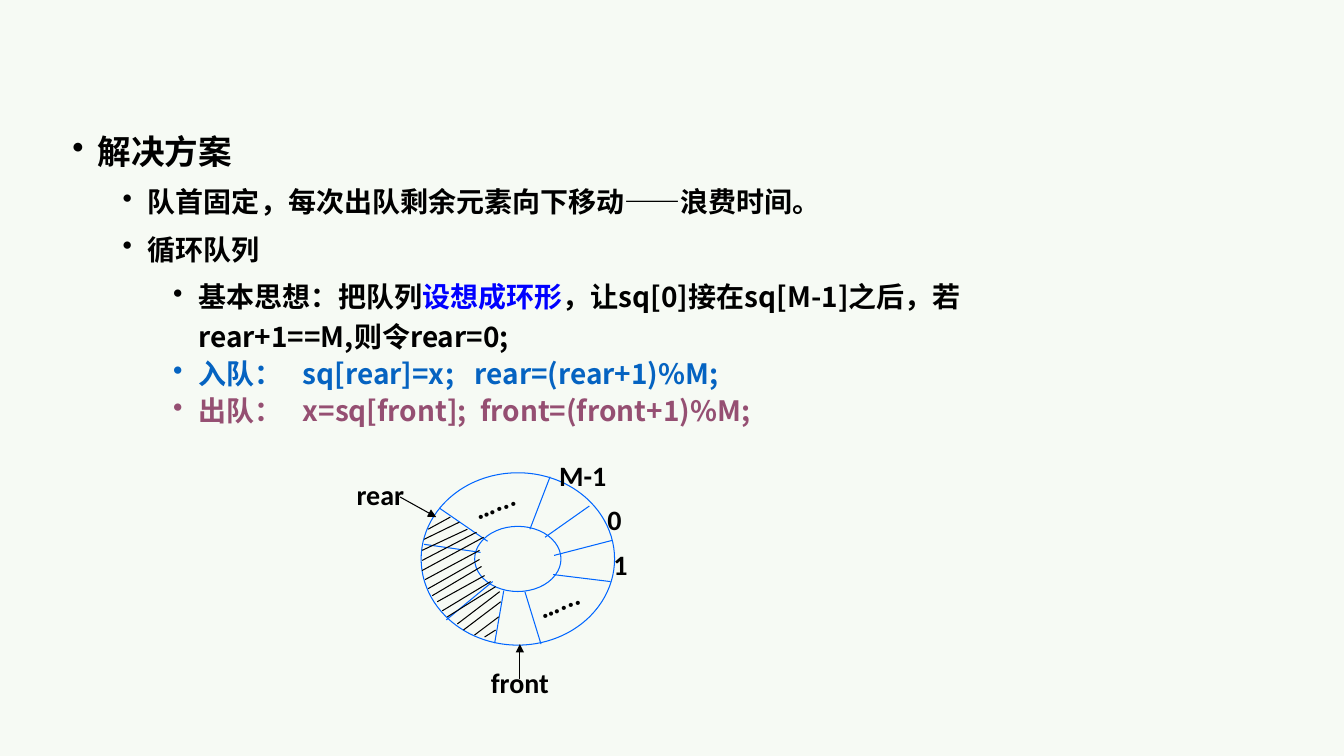
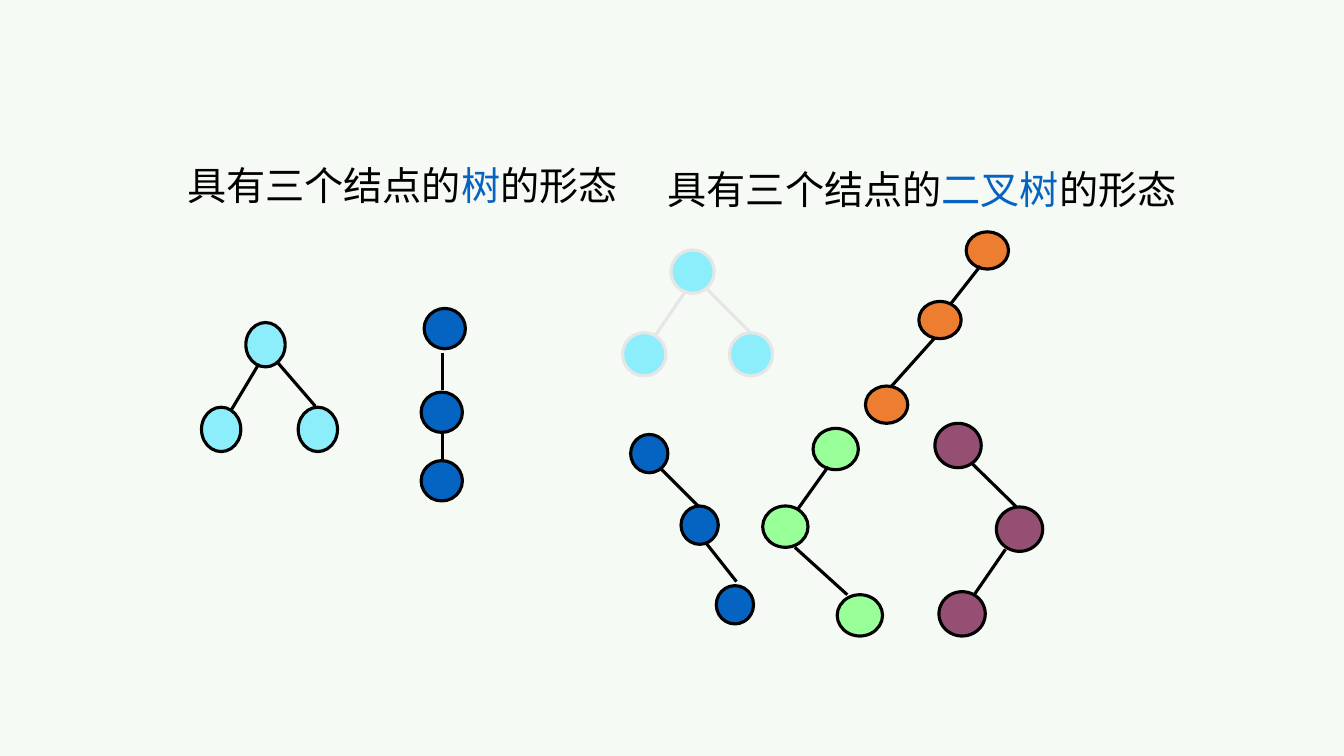
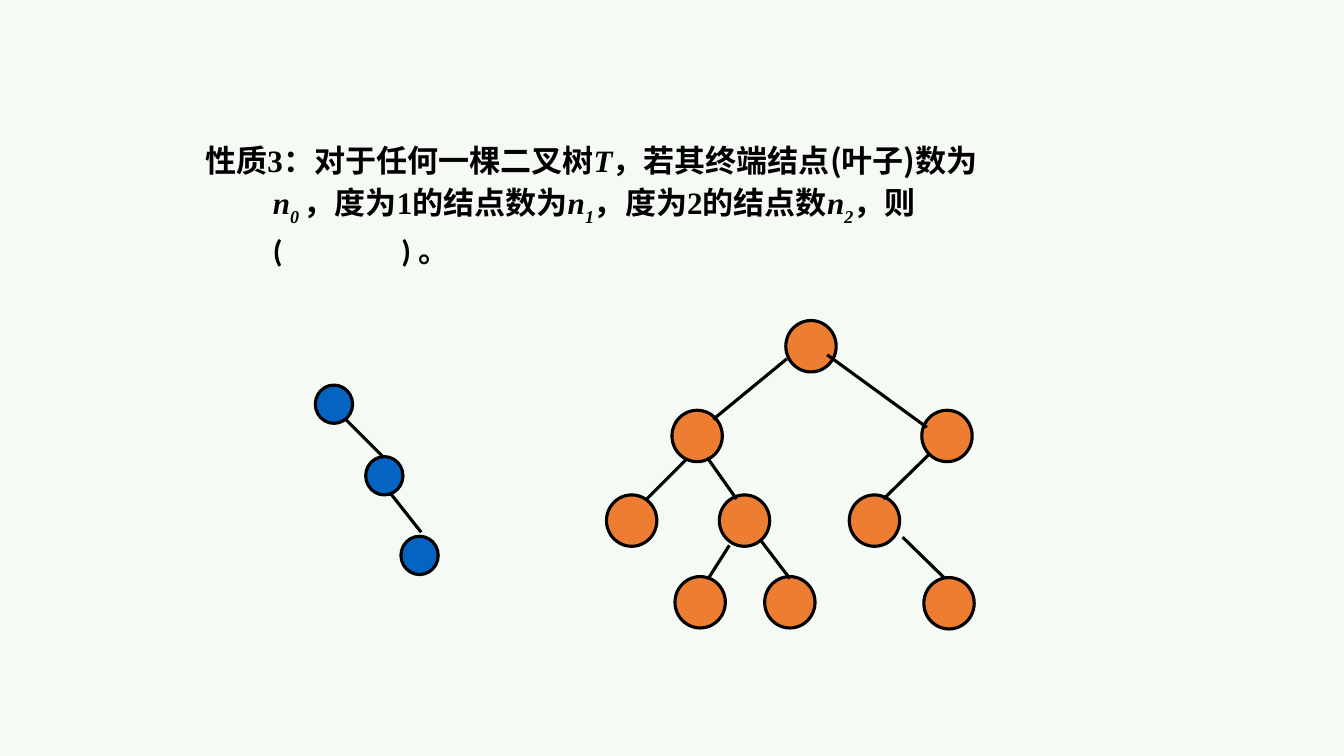
from lxml import etree
from pptx import Presentation
from pptx.dml.color import RGBColor
from pptx.enum.shapes import MSO_CONNECTOR, MSO_SHAPE
from pptx.enum.text import MSO_ANCHOR, PP_ALIGN
from pptx.oxml.ns import qn
from pptx.util import Inches, Pt

BACKGROUND = RGBColor(0xF6, 0xFA, 0xF4)
BLACK = RGBColor(0, 0, 0)
PURE_BLUE = RGBColor(0, 0, 0xFF)
RING_BLUE = RGBColor(0, 0x66, 0xFF)
BLUE = RGBColor(0x05, 0x63, 0xC1)
PLUM = RGBColor(0x95, 0x4F, 0x72)
CYAN = RGBColor(0x8D, 0xEE, 0xFB)
ORANGE = RGBColor(0xED, 0x7D, 0x31)
GREEN = RGBColor(0x99, 0xFF, 0x99)
PALE_GRAY = RGBColor(0xE7, 0xE6, 0xE6)
CHINESE, LATIN, SERIF = "Noto Sans CJK SC", "Calibri", "Times New Roman"


def add_spans(para, spans):
    """Add runs given as (text, look); look may hold color, font, italic, baseline, spacing."""
    for text, look in spans:
        span = para.add_run()
        span.text = text
        if "color" in look:
            span.font.color.rgb = look["color"]
        if "font" in look:
            span.font.name = look["font"]
        if "italic" in look:
            span.font.italic = look["italic"]
        properties = span._r.get_or_add_rPr()
        etree.SubElement(properties, qn("a:ea"), typeface=CHINESE)
        if "baseline" in look:
            properties.set("baseline", str(look["baseline"] * 1000))
        if "spacing" in look:
            properties.set("spc", str(look["spacing"] * 100))


def add_line(shapes, ends, color, width, arrow=False):
    line = shapes.add_connector(MSO_CONNECTOR.STRAIGHT, *[Inches(v) for v in ends])
    line.line.color.rgb = color
    line.line.width = Pt(width)
    if arrow:
        etree.SubElement(line.line._get_or_add_ln(), qn("a:tailEnd"), type="triangle")
    etree.SubElement(line._element.spPr, qn("a:effectLst"))


# Deck and shared background
deck = Presentation()
deck.slide_width, deck.slide_height = Inches(13.34), Inches(7.5)
backdrop = deck.slide_master.background.fill
backdrop.solid()
backdrop.fore_color.rgb = BACKGROUND
queue_page, shapes_page, property_page = [
    deck.slides.add_slide(deck.slide_layouts[6]) for _ in range(3)]

# Slide 1: bullet list (level, size, line spacing, colour, spans)
bullets = [
    (0, 24, 1.2, BLACK, [("解决方案", {})]),
    (1, 20, 1.2, BLACK, [("队首固定，每次出队剩余元素向下移动——浪费时间。", {})]),
    (1, 20, 1.2, BLACK, [("循环队列", {})]),
    (2, 20, 1.2, BLACK, [
        ("基本思想：把队列", {}), ("设想成环形", {"color": PURE_BLUE}),
        ("，让sq[0]接在sq[M-1]之后，若rear+1==M,则令rear=0;", {})]),
    (2, 20, 0.9, BLUE, [
        ("入队：", {}), (" ", {"spacing": 10}), ("sq[rear]=x;", {}),
        (" ", {"spacing": 10}), ("rear=(rear+1)%M;", {})]),
    (2, 20, 0.9, PLUM, [
        ("出队：", {}), (" ", {"spacing": 10}), ("x=sq[front];", {}),
        (" ", {"spacing": 5}), ("front=(front+1)%M;", {})]),
]
box = queue_page.shapes.add_textbox(Inches(0.62), Inches(1.17), Inches(10.5), Inches(3.33))
box.text_frame.word_wrap = True
for index, (level, size, spacing, color, spans) in enumerate(bullets):
    para = box.text_frame.add_paragraph() if index else box.text_frame.paragraphs[0]
    para.level = level
    para.line_spacing = spacing
    para.space_before = Pt(5 if index else 0)
    settings = para._p.get_or_add_pPr()
    settings.set("marL", str(Inches(0.25 + 0.5 * level)))
    settings.set("indent", str(Inches(-0.25)))
    bullet_color = etree.SubElement(settings, qn("a:buClr"))
    etree.SubElement(bullet_color, qn("a:srgbClr"), val=str(color))
    etree.SubElement(settings, qn("a:buChar"), char="•")
    para.font.size = Pt(size)
    para.font.bold = True
    para.font.name = CHINESE
    para.font.color.rgb = color
    add_spans(para, spans)

# Slide 1: circular queue
ring_group = queue_page.shapes.add_group_shape().shapes
ring = ring_group.add_shape(
    MSO_SHAPE.DONUT, Inches(4.18), Inches(4.69), Inches(1.92), Inches(1.71))
ring.adjustments[0] = 0.311
ring.shadow.inherit = False
ring.fill.background()
ring.line.color.rgb = RING_BLUE
ring.line.width = Pt(0.75)

spokes = [
    (5.21, 5.87, 5.37, 6.39), (5, 5.86, 4.91, 6.38), (4.89, 5.77, 4.43, 6.15),
    (4.84, 5.37, 4.36, 5.04), (5.46, 4.73, 5.26, 5.25), (5.41, 5.33, 5.85, 5.02),
    (5.5, 5.51, 6.08, 5.36), (5.49, 5.7, 6.06, 5.77), (4.77, 5.48, 4.21, 5.4),
]
hatching = [
    (4.25, 5.25, 4.47, 5.13), (4.21, 5.35, 4.56, 5.18), (4.19, 5.46, 4.64, 5.25),
    (4.19, 5.56, 4.73, 5.28), (4.19, 5.66, 4.8, 5.33), (4.22, 5.75, 4.76, 5.46),
    (4.25, 5.84, 4.76, 5.55), (4.29, 5.91, 4.78, 5.62), (4.34, 5.97, 4.81, 5.71),
    (4.39, 6.06, 4.87, 5.77), (4.44, 6.12, 4.92, 5.82), (4.54, 6.19, 4.96, 5.87),
    (4.6, 6.25, 4.97, 5.97), (4.71, 6.3, 4.95, 6.12), (4.81, 6.32, 4.92, 6.25),
]
pointers = [(5.16, 6.74, 5.16, 6.39), (3.97, 4.93, 4.33, 5.13)]
for lines, color, arrow in [
        (spokes, RING_BLUE, False), (hatching, BLACK, False), (pointers, BLACK, True)]:
    for ends in lines:
        add_line(ring_group, ends, color, 0.75, arrow)

for text, left, top, width, rotation in [
        ("0", 5.93, 4.93, 0.34, 0), ("M-1", 5.45, 4.5, 0.67, 0),
        ("1", 5.99, 5.38, 0.34, 0), ("front", 4.77, 6.55, 0.78, 0),
        ("rear", 3.44, 4.68, 0.67, 0),
        ("…...", 4.59, 4.76, 0.62, 338.4), ("…...", 5.23, 5.74, 0.62, 338.4)]:
    label = ring_group.add_textbox(Inches(left), Inches(top), Inches(width), Inches(0.44))
    label.rotation = rotation
    label.text_frame.word_wrap = False
    label.text_frame.vertical_anchor = MSO_ANCHOR.MIDDLE
    para = label.text_frame.paragraphs[0]
    para.alignment = PP_ALIGN.CENTER
    para.font.size = Pt(20)
    para.font.bold = True
    para.font.name = LATIN
    para.font.color.rgb = BLACK
    add_spans(para, [(text, {})])

# Slide 2: headings
for left, top, width, font, spacing, keyword in [
        (1.76, 1.55, 5.42, LATIN, 0.9, "树"), (6.53, 1.59, 5.73, "Cabin", 1.0, "二叉树")]:
    heading = shapes_page.shapes.add_textbox(
        Inches(left), Inches(top), Inches(width), Inches(0.57))
    heading.text_frame.word_wrap = True
    heading.text_frame.vertical_anchor = MSO_ANCHOR.BOTTOM
    para = heading.text_frame.paragraphs[0]
    para.line_spacing = spacing
    para.font.size = Pt(28)
    para.font.name = font
    para.font.color.rgb = BLACK
    add_spans(para, [("具有三个结点的", {}), (keyword, {"color": BLUE}), ("的形态", {})])

# Slide 3: statement with hanging lines
statement = property_page.shapes.add_textbox(
    Inches(1.94), Inches(1.32), Inches(8.83), Inches(1.75))
statement.text_frame.word_wrap = True
para = statement.text_frame.paragraphs[0]
para.line_spacing = 1.1
settings = para._p.get_or_add_pPr()
settings.set("marL", str(Inches(0.67)))
settings.set("indent", str(Inches(-0.67)))
para.font.size = Pt(22.2)
para.font.bold = True
para.font.color.rgb = BLACK
plain, chinese, number = {"font": LATIN}, {"font": CHINESE}, {"font": SERIF}
variable = {"font": SERIF, "italic": True}
subscript = {"font": SERIF, "italic": True, "baseline": -30}
statement_lines = [
    [("性质", plain), ("3", number), ("：", plain), ("对于任何一棵二叉树", chinese),
     ("T", variable), ("，若其终端结点(叶子)数为", chinese)],
    [("n", variable), ("0 ", subscript), ("，度为", chinese), ("1", number),
     ("的结点数为", chinese), ("n", variable), ("1", subscript), ("，度为", chinese),
     ("2", number), ("的结点数", chinese), ("n", variable), ("2", subscript),
     ("，则", chinese)],
    [("(", plain), (" ", {"font": LATIN, "spacing": 80}), (") ", plain), ("。", chinese)],
]
for index, spans in enumerate(statement_lines):
    if index:
        para.add_line_break()
    add_spans(para, spans)

# Slides 2 and 3: trees (page, node size, fill, outline, node corners, edges)
chain_nodes = [(6.26, 4.31), (6.76, 5.02), (7.11, 5.81)]
chain_edges = [(6.56, 4.65, 6.93, 5.02), (7.01, 5.39, 7.31, 5.77)]
shift_x, shift_y = -3.13, -0.49
trees = [
    (shapes_page, (0.39, 0.44), CYAN, BLACK,
     [(2.44, 3.2), (2, 4.04), (2.96, 4.04)],
     [(2.57, 3.61, 2.3, 4.06), (2.75, 3.59, 3.13, 4.03)]),
    (shapes_page, (0.41, 0.4), BLUE, BLACK,
     [(4.21, 3.06), (4.18, 3.89), (4.18, 4.57)],
     [(4.39, 3.5, 4.39, 3.87), (4.39, 4.31, 4.39, 4.56)]),
    (shapes_page, (0.43, 0.43), CYAN, PALE_GRAY,
     [(6.66, 2.48), (6.18, 3.3), (7.24, 3.3)],
     [(6.81, 2.88, 6.51, 3.32), (7.01, 2.86, 7.44, 3.29)]),
    (shapes_page, (0.42, 0.37), ORANGE, BLACK,
     [(9.59, 2.3), (9.12, 2.99), (8.59, 3.83)],
     [(9.73, 2.64, 9.44, 3.01), (9.28, 3.35, 8.85, 3.83)]),
    (shapes_page, (0.37, 0.38), BLUE, BLACK, chain_nodes, chain_edges),
    (shapes_page, (0.45, 0.41), GREEN, BLACK,
     [(8.07, 4.25), (7.57, 5.02), (8.31, 5.9)],
     [(8.22, 4.63, 7.92, 5.05), (7.89, 5.43, 8.41, 5.9)]),
    (shapes_page, (0.46, 0.44), PLUM, BLACK,
     [(9.28, 4.2), (9.89, 5.03), (9.32, 5.87)],
     [(9.64, 4.59, 10.09, 5.03), (9.98, 5.45, 9.67, 5.9)]),
    (property_page, (0.5, 0.51), ORANGE, BLACK,
     [(7.8, 3.18), (6.67, 4.07), (9.15, 4.07), (6.02, 4.91), (7.14, 4.91),
      (8.43, 4.91), (9.17, 5.73), (6.7, 5.72), (7.59, 5.72)],
     [(9.22, 4.51, 8.77, 4.95), (8.96, 5.33, 9.37, 5.73), (8.21, 3.52, 9.2, 4.24),
      (7.81, 3.56, 7.08, 4.16), (7.02, 4.54, 7.31, 4.95), (6.81, 4.56, 6.42, 4.95),
      (7.24, 5.41, 7.03, 5.74), (7.55, 5.36, 7.84, 5.74)]),
    (property_page, (0.37, 0.38), BLUE, BLACK,
     [(x + shift_x, y + shift_y) for x, y in chain_nodes],
     [(x1 + shift_x, y1 + shift_y, x2 + shift_x, y2 + shift_y)
      for x1, y1, x2, y2 in chain_edges]),
]
for page, (width, height), fill, outline, nodes, edges in trees:
    tree = page.shapes.add_group_shape().shapes
    for left, top in nodes:
        node = tree.add_shape(
            MSO_SHAPE.OVAL, Inches(left), Inches(top), Inches(width), Inches(height))
        node.shadow.inherit = False
        node.fill.solid()
        node.fill.fore_color.rgb = fill
        node.line.color.rgb = outline
        node.line.width = Pt(2.25)
    for ends in edges:
        add_line(tree, ends, outline, 2.25)

deck.save("out.pptx")
